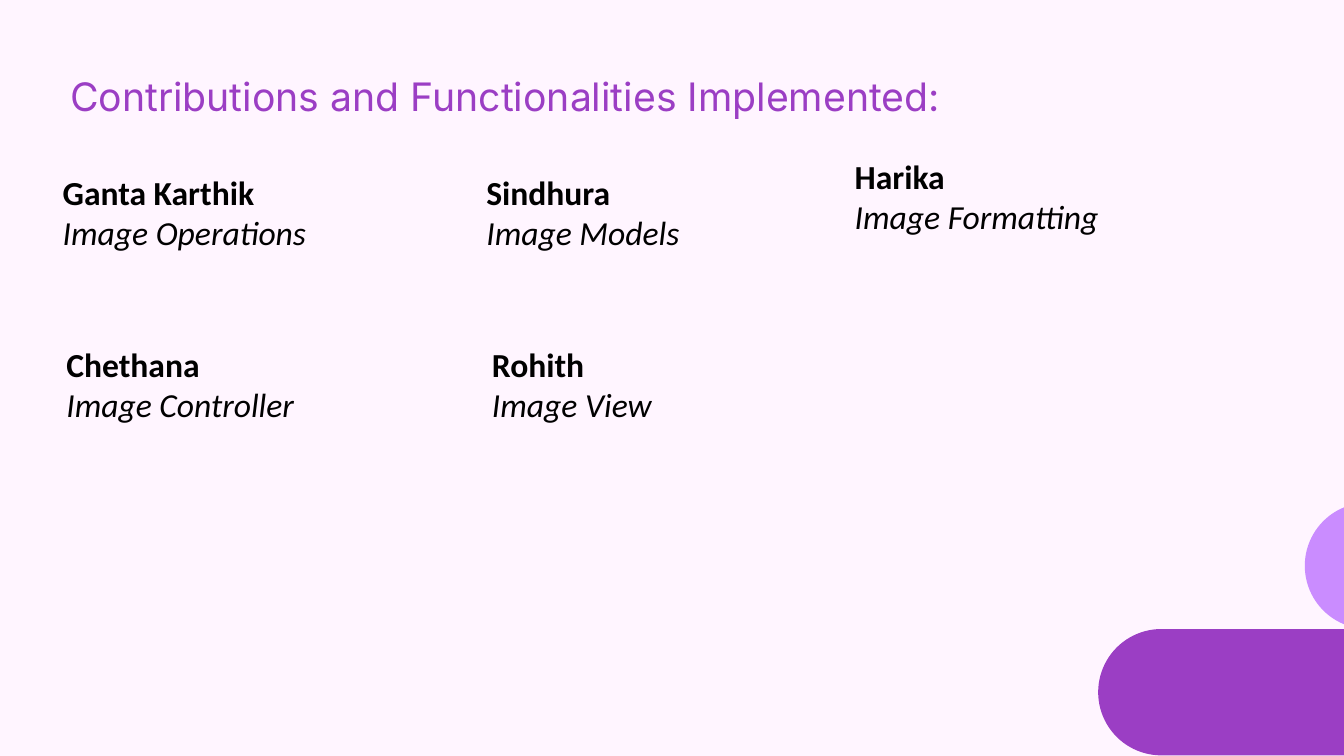
from pptx import Presentation
from pptx.dml.color import RGBColor as RGB
from pptx.enum.shapes import MSO_SHAPE as Preset
from pptx.enum.text import MSO_ANCHOR as Anchor, MSO_AUTO_SIZE as AutoSize, PP_ALIGN as Align
from pptx.util import Pt

COLOURS = {
    "background": "FFF5FF",
    "purple": "9B3EC4",
    "lilac": "CA8CFF",
    "ink": "000000",
}
TITLE_ONLY = 5


class ContributionSlide:
    title_font, title_size = "Inter", 21
    body_font, body_size = "Calibri", 18

    def __init__(self, deck):
        self.slide = deck.slides.add_slide(deck.slide_layouts[TITLE_ONLY])
        backdrop = self.slide.background.fill
        backdrop.solid()
        backdrop.fore_color.rgb = self.colour("background")

    def colour(self, name):
        return RGB.from_string(COLOURS[name])

    def add_run(self, paragraph, text, font, size, colour, bold=False, italic=False):
        run = paragraph.add_run()
        run.text = text
        run.font.name = font
        run.font.size = Pt(size)
        run.font.bold = bold
        run.font.italic = italic
        run.font.color.rgb = self.colour(colour)

    def title(self, text, left, top, width, height):
        heading = self.slide.shapes.title
        heading.left, heading.top = Pt(left), Pt(top)
        heading.width, heading.height = Pt(width), Pt(height)
        frame = heading.text_frame
        frame.word_wrap = True
        frame.auto_size = AutoSize.NONE
        frame.vertical_anchor = Anchor.TOP
        frame.margin_left = frame.margin_top = 0
        frame.margin_right = frame.margin_bottom = 0
        line = frame.paragraphs[0]
        line.alignment = Align.LEFT
        line.line_spacing = Pt(26.2)
        self.add_run(line, text, self.title_font, self.title_size, "purple")

    def pill(self, colour, left, top, width, height):
        pill = self.slide.shapes.add_shape(
            Preset.ROUNDED_RECTANGLE, Pt(left), Pt(top), Pt(width), Pt(height))
        pill.adjustments[0] = 0.5
        pill.shadow.inherit = False
        pill.fill.solid()
        pill.fill.fore_color.rgb = self.colour(colour)
        pill.line.fill.background()

    def contribution(self, member, feature, left, top, width, height):
        entry = self.slide.shapes.add_textbox(Pt(left), Pt(top), Pt(width), Pt(height))
        frame = entry.text_frame
        frame.word_wrap = True
        self.add_run(frame.paragraphs[0], member, self.body_font, self.body_size,
                     "ink", bold=True)
        self.add_run(frame.add_paragraph(), feature, self.body_font, self.body_size,
                     "ink", italic=True)


def main():
    deck = Presentation()
    deck.slide_width, deck.slide_height = Pt(720), Pt(405)

    page = ContributionSlide(deck)
    page.title("Contributions and Functionalities Implemented:", 37.5, 37.5, 618, 53)

    pill_width, pill_height = 530.5, 67.7
    pill_top = 337
    page.pill("purple", 588.3, pill_top, pill_width, pill_height)
    page.pill("lilac", 699, pill_top - pill_height, pill_width, pill_height)

    contributions = [
        ("Ganta Karthik", "Image Operations", 26.5, 88.5, 155.5, 64),
        ("Sindhura", "Image Models", 253.5, 88.5, 155.5, 64),
        ("Harika", "Image Formatting", 450.8, 80, 150, 51),
        ("Chethana", "Image Controller", 28.5, 180.7, 150, 51),
        ("Rohith", "Image View", 256.5, 180.7, 127, 51),
    ]
    for contribution in contributions:
        page.contribution(*contribution)

    deck.save("out.pptx")


if __name__ == "__main__":
    main()
